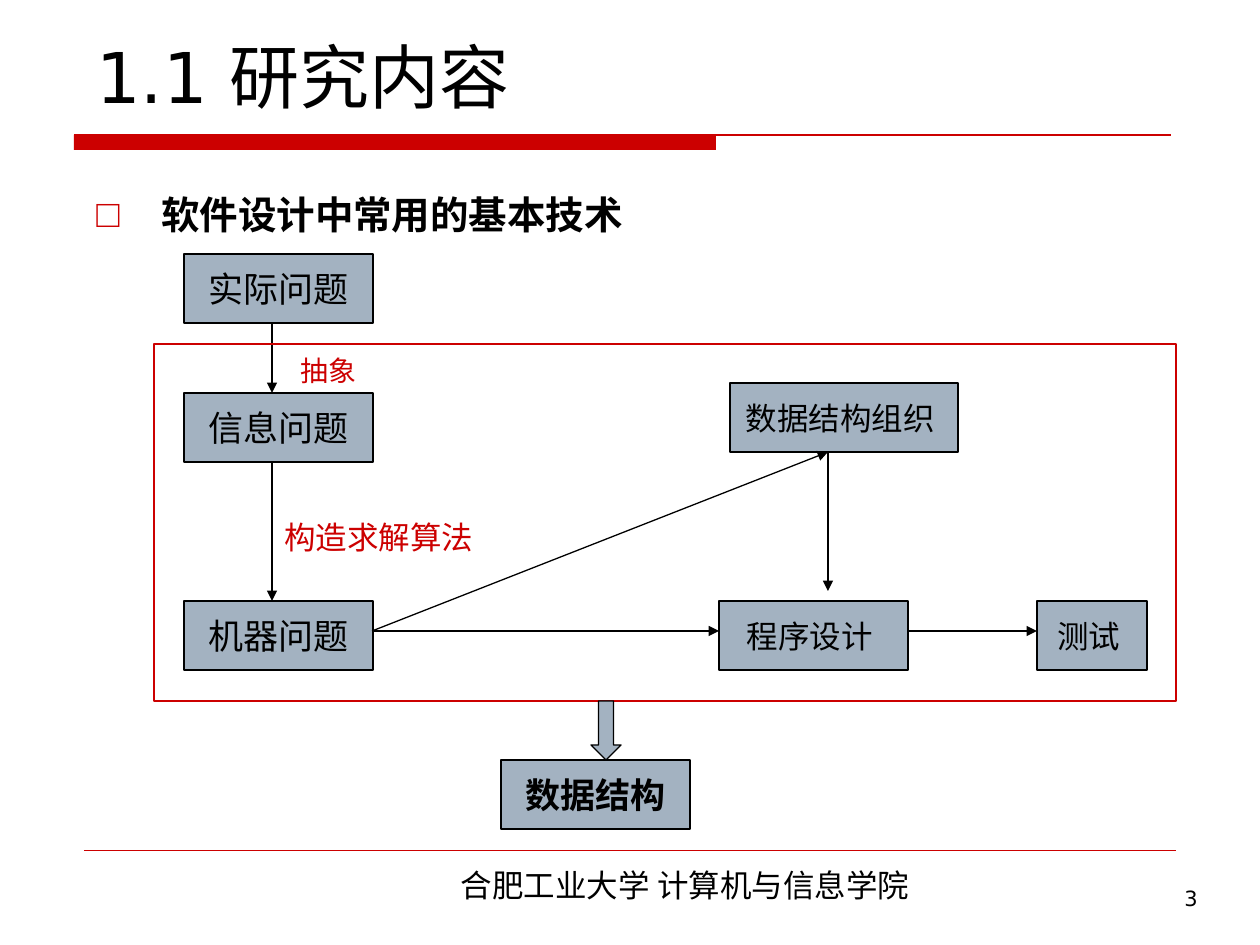
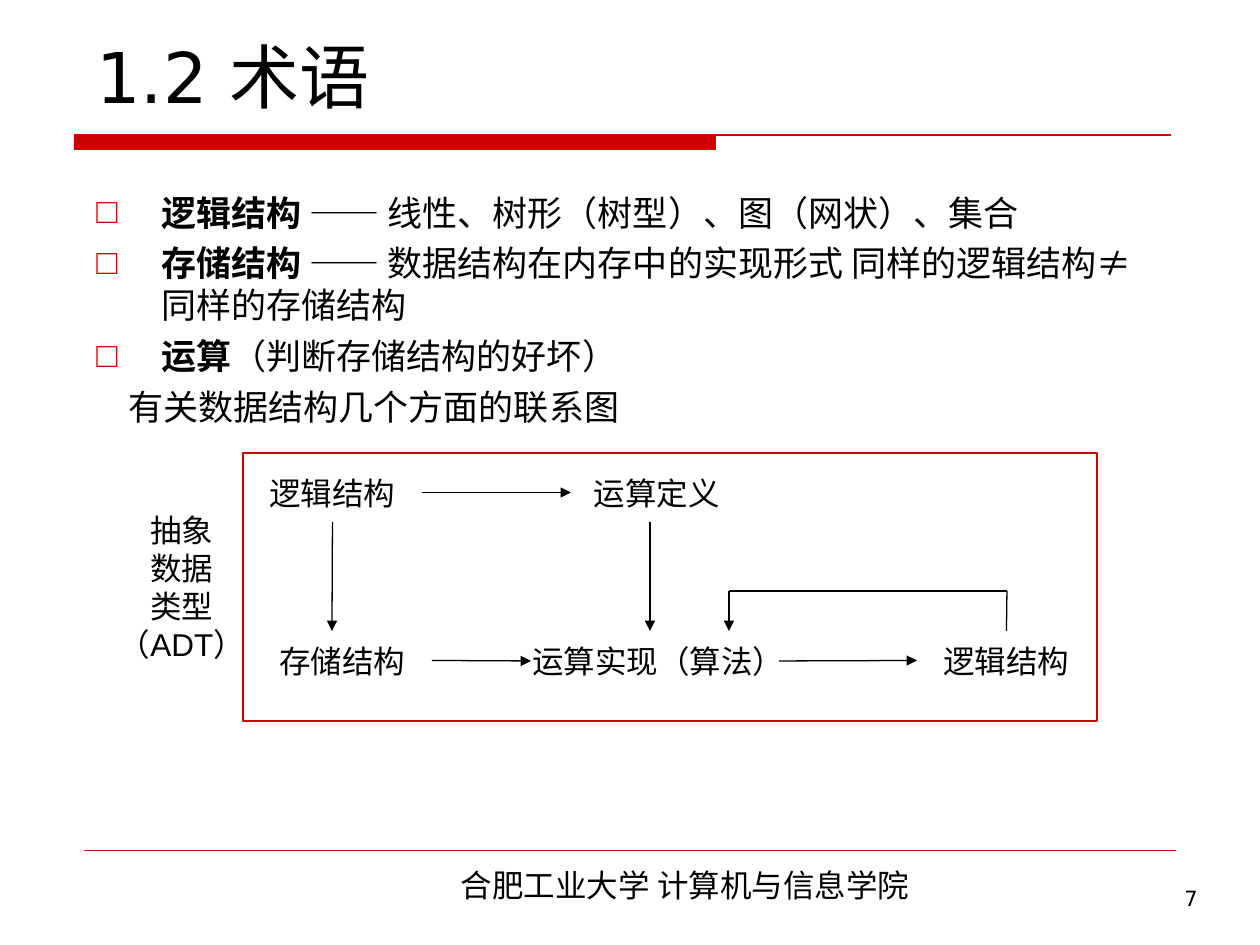
from dataclasses import dataclass

from lxml.etree import SubElement
from pptx import Presentation
from pptx.dml.color import RGBColor
from pptx.enum.shapes import MSO_CONNECTOR, MSO_SHAPE
from pptx.enum.text import MSO_ANCHOR, PP_ALIGN
from pptx.oxml.ns import qn
from pptx.util import Pt


@dataclass(frozen=True)
class Theme:
    """Colours, fonts and type sizes shared by the slides."""
    ink: str = "000000"
    accent: str = "CC0000"
    box: str = "A3B2C1"
    heading_font: str = "DejaVu Sans"
    body_font: str = "Times New Roman"
    label_font: str = "Arial"
    chinese_font: str = "Noto Sans CJK SC"
    title: int = 40
    lead: int = 22
    body: int = 20
    label: int = 18
    note: int = 16
    number: int = 12
    line: float = 0.75
    hairline: float = 0.25


THEME = Theme()
PX = 914400 / 126
SLIDE_SIZE = (1260, 945)
FOOTER = "合肥工业大学 计算机与信息学院"
BOX_HEIGHT, BOX_WIDTH = 69, 189
TERM_SIZE = (179, 59)

SLIDES = [
    {
        "title": "1.1 研究内容",
        "number": "3",
        "body_size": THEME.lead,
        "body": [("软件设计中常用的基本技术", "", True)],
        "boxes": [
            ("实际问题", 184, 254, BOX_WIDTH, THEME.body, False),
            ("信息问题", 184, 393, BOX_WIDTH, THEME.body, False),
            ("机器问题", 184, 601, BOX_WIDTH, THEME.body, False),
            ("测试 ", 1037, 601, 110, THEME.label, False),
            ("程序设计 ", 719, 601, BOX_WIDTH, THEME.label, False),
            ("数据结构组织 ", 730, 383, 228, THEME.label, False),
            ("数据结构", 501, 760, BOX_WIDTH, THEME.body, True),
        ],
        "labels": [
            (["抽象"], 288, 346, 80, 49, THEME.note, THEME.accent),
            (["构造求解算法"], 279, 512, 200, 49, THEME.label, THEME.accent),
        ],
        "arrows": [
            ((272, 323), (272, 393)),
            ((272, 462), (272, 601)),
            ((372, 631), (828, 452)),
            ((828, 452), (828, 591)),
            ((372, 631), (719, 631)),
            ((908, 631), (1037, 631)),
        ],
        "lines": [],
        "frame": (154, 344, 1022, 357),
        "block_arrow": (591, 701, 30, 59),
    },
    {
        "title": "1.2 术语",
        "number": "7",
        "body_size": THEME.body,
        "body": [
            ("逻辑结构 ", "—— 线性、树形（树型）、图（网状）、集合", True),
            ("存储结构 ", "—— 数据结构在内存中的实现形式 同样的逻辑结构≠同样的存储结构", True),
            ("运算", "（判断存储结构的好坏）", True),
            ("", "有关数据结构几个方面的联系图", False),
        ],
        "boxes": [],
        "labels": [
            (["逻辑结构"], 243, 463, *TERM_SIZE, THEME.label, THEME.ink),
            (["逻辑结构"], 917, 631, *TERM_SIZE, THEME.label, THEME.ink),
            (["运算实现（算法）"], 523, 631, 270, 59, THEME.label, THEME.ink),
            (["存储结构"], 253, 631, *TERM_SIZE, THEME.label, THEME.ink),
            (["运算定义 "], 571, 463, *TERM_SIZE, THEME.label, THEME.ink),
            (["抽象", "数据", "类型", "（ADT）"], 112, 453, 140, 268, THEME.label, THEME.ink),
        ],
        "arrows": [
            ((332, 522), (332, 631)),
            ((422, 492), (571, 492)),
            ((432, 661), (531, 661)),
            ((650, 522), (650, 631)),
            ((779, 661), (917, 661)),
            ((729, 591), (729, 631)),
        ],
        "lines": [((1007, 591), (1007, 631)), ((1007, 591), (729, 591))],
        "frame": (243, 453, 854, 268),
        "block_arrow": None,
    },
]


def emu(*lengths):
    """Turn px lengths into EMU."""
    return [round(length * PX) for length in lengths]


def apply(target, values):
    """Set every attribute named in a dict of format values."""
    for name, value in values.items():
        setattr(target, name, value)


def add_run(paragraph, text, size, font, color=THEME.ink, bold=False):
    """Append a run in a given type style."""
    run = paragraph.add_run()
    run.text = text
    apply(run.font, {"size": Pt(size), "name": font, "bold": bold})
    run.font.color.rgb = RGBColor.from_string(color)
    SubElement(run.font._element, qn("a:ea")).set("typeface", THEME.chinese_font)


def write(shape, lines, size, font, color=THEME.ink, bold=False,
          align=PP_ALIGN.CENTER, anchor=MSO_ANCHOR.MIDDLE):
    """Fill a shape with paragraphs of one style."""
    frame = shape.text_frame
    apply(frame, {"word_wrap": True, "vertical_anchor": anchor})
    for index, text in enumerate(lines):
        paragraph = frame.add_paragraph() if index else frame.paragraphs[0]
        apply(paragraph, {"alignment": align, "line_spacing": Pt(size * 1.2) if len(lines) > 1 else None})
        add_run(paragraph, text, size, font, color, bold)


def add_figure(slide, kind, bounds, fill, line):
    """Add a preset shape with a plain fill and outline."""
    shape = slide.shapes.add_shape(kind, *emu(*bounds))
    shape.shadow.inherit = False
    if fill:
        shape.fill.solid()
        shape.fill.fore_color.rgb = RGBColor.from_string(fill)
    else:
        shape.fill.background()
    if line:
        shape.line.color.rgb = RGBColor.from_string(line)
        shape.line.width = Pt(THEME.line)
    else:
        shape.line.fill.background()
    return shape


def find_site(point, nodes):
    """Return the shape and side whose middle lies at a point."""
    for shape, (left, top, width, height) in nodes:
        sides = [(left + width / 2, top), (left, top + height / 2),
                 (left + width / 2, top + height), (left + width, top + height / 2)]
        for site, (x, y) in enumerate(sides):
            if max(abs(point[0] - x), abs(point[1] - y)) <= 1:
                return shape, site
    return None


def add_line(slide, start, end, color=THEME.ink, width=THEME.line, arrow=False, nodes=()):
    """Draw a straight connector, joined to any node it meets."""
    connector = slide.shapes.add_connector(MSO_CONNECTOR.STRAIGHT, *emu(*start, *end))
    connector.line.color.rgb = RGBColor.from_string(color)
    connector.line.width = Pt(width)
    if arrow:
        SubElement(connector.line._get_or_add_ln(), qn("a:tailEnd")).set("type", "triangle")
    SubElement(connector._element.spPr, qn("a:effectLst"))
    for point, connect in ((start, connector.begin_connect), (end, connector.end_connect)):
        site = find_site(point, nodes)
        if site:
            connect(*site)


def add_text(slide, bounds, lines, size, font, **style):
    """Add a text box and return it."""
    shape = slide.shapes.add_textbox(*emu(*bounds))
    write(shape, lines, size, font, **style)
    return shape


def add_common_parts(slide, content):
    """Add the title, red band, footer and slide number."""
    add_figure(slide, MSO_SHAPE.RECTANGLE, (74, 135, 642, 15), THEME.accent, None)
    add_line(slide, (74, 135), (1171, 135), THEME.accent)
    add_line(slide, (84, 850), (1176, 850), THEME.accent, THEME.hairline)
    add_text(slide, (303, 860, 764, 50), [FOOTER], THEME.label, THEME.chinese_font,
             anchor=MSO_ANCHOR.TOP)
    add_text(slide, (937, 879, 273, 66), [content["number"]], THEME.number, THEME.heading_font,
             align=PP_ALIGN.RIGHT, anchor=MSO_ANCHOR.TOP)
    add_text(slide, (84, -44, 1103, 168), [content["title"]], THEME.title, THEME.heading_font,
             align=PP_ALIGN.LEFT, anchor=MSO_ANCHOR.BOTTOM)


def add_body(slide, items, size):
    """Add the paragraphs under the title, bulleted where asked."""
    frame = slide.shapes.add_textbox(*emu(84, 185, 1080, 588)).text_frame
    frame.word_wrap = True
    for index, (term, detail, bulleted) in enumerate(items):
        paragraph = frame.add_paragraph() if index else frame.paragraphs[0]
        apply(paragraph, {"space_before": Pt(size / 4), "line_spacing": Pt(size * 1.2)})
        for text, bold in ((term, True), (detail, False)):
            if text:
                add_run(paragraph, text, size, THEME.body_font, bold=bold)
        properties = paragraph._p.get_or_add_pPr()
        margin, indent = emu(65, -65) if bulleted else emu(32, 0)
        properties.set("marL", str(margin))
        properties.set("indent", str(indent))
        if bulleted:
            color = SubElement(properties, qn("a:buClr"))
            SubElement(color, qn("a:srgbClr")).set("val", THEME.accent)
            SubElement(properties, qn("a:buFont")).set("typeface", THEME.body_font)
            SubElement(properties, qn("a:buChar")).set("char", "□")


def add_diagram(slide, content):
    """Add boxes, labels, arrows and the frame around them."""
    nodes = []
    for text, left, top, width, size, bold in content["boxes"]:
        bounds = (left, top, width, BOX_HEIGHT)
        shape = add_figure(slide, MSO_SHAPE.RECTANGLE, bounds, THEME.box, THEME.ink)
        write(shape, [text], size, THEME.label_font, bold=bold)
        nodes.append((shape, bounds))
    for lines, *bounds, size, color in content["labels"]:
        shape = add_text(slide, bounds, lines, size, THEME.label_font, color=color)
        apply(shape.text_frame, {"margin_left": 0, "margin_right": 0})
        nodes.append((shape, bounds))
    for start, end in content["arrows"]:
        add_line(slide, start, end, arrow=True, nodes=nodes)
    for start, end in content["lines"]:
        add_line(slide, start, end, nodes=nodes)
    add_figure(slide, MSO_SHAPE.RECTANGLE, content["frame"], None, THEME.accent)
    if content["block_arrow"]:
        add_figure(slide, MSO_SHAPE.DOWN_ARROW, content["block_arrow"], THEME.box, THEME.ink)


def main():
    """Build the slides and save them."""
    presentation = Presentation()
    presentation.slide_width, presentation.slide_height = emu(*SLIDE_SIZE)
    for content in SLIDES:
        slide = presentation.slides.add_slide(presentation.slide_layouts[6])
        add_common_parts(slide, content)
        add_body(slide, content["body"], content["body_size"])
        add_diagram(slide, content)
    presentation.save("out.pptx")


if __name__ == "__main__":
    main()
